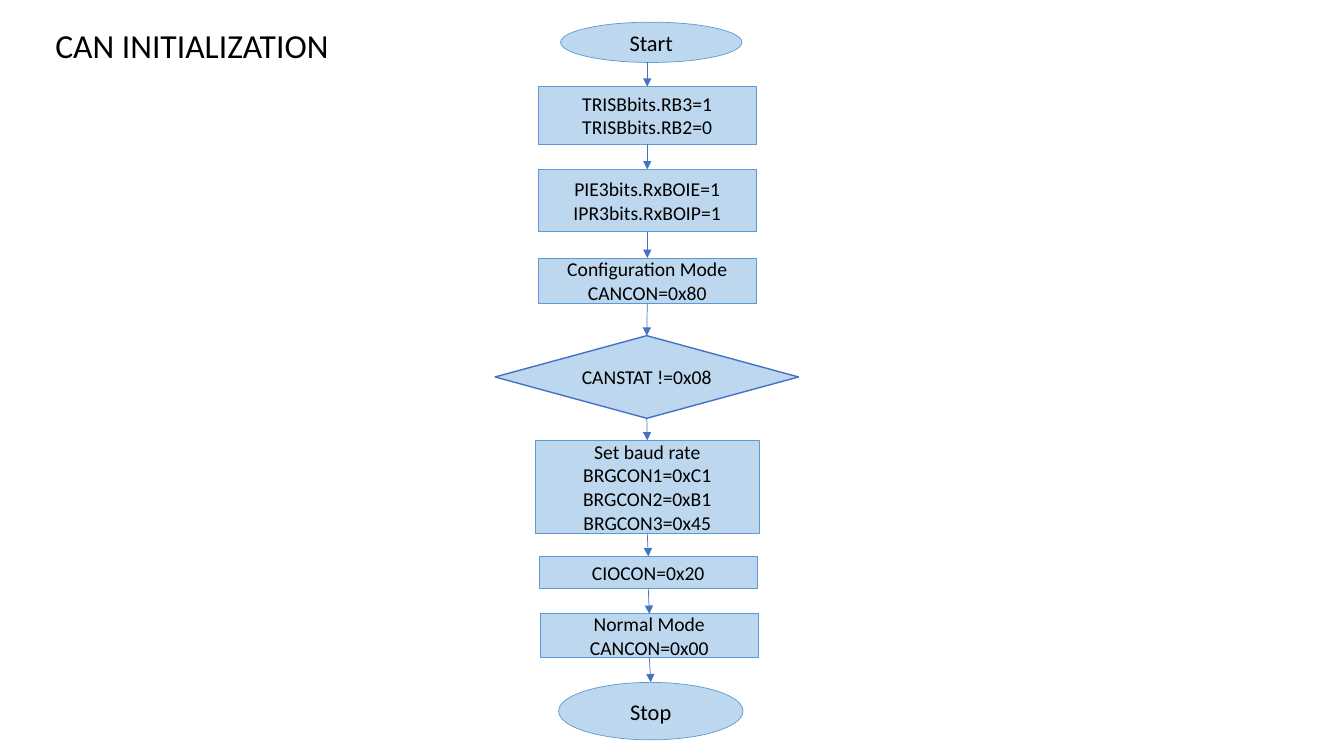
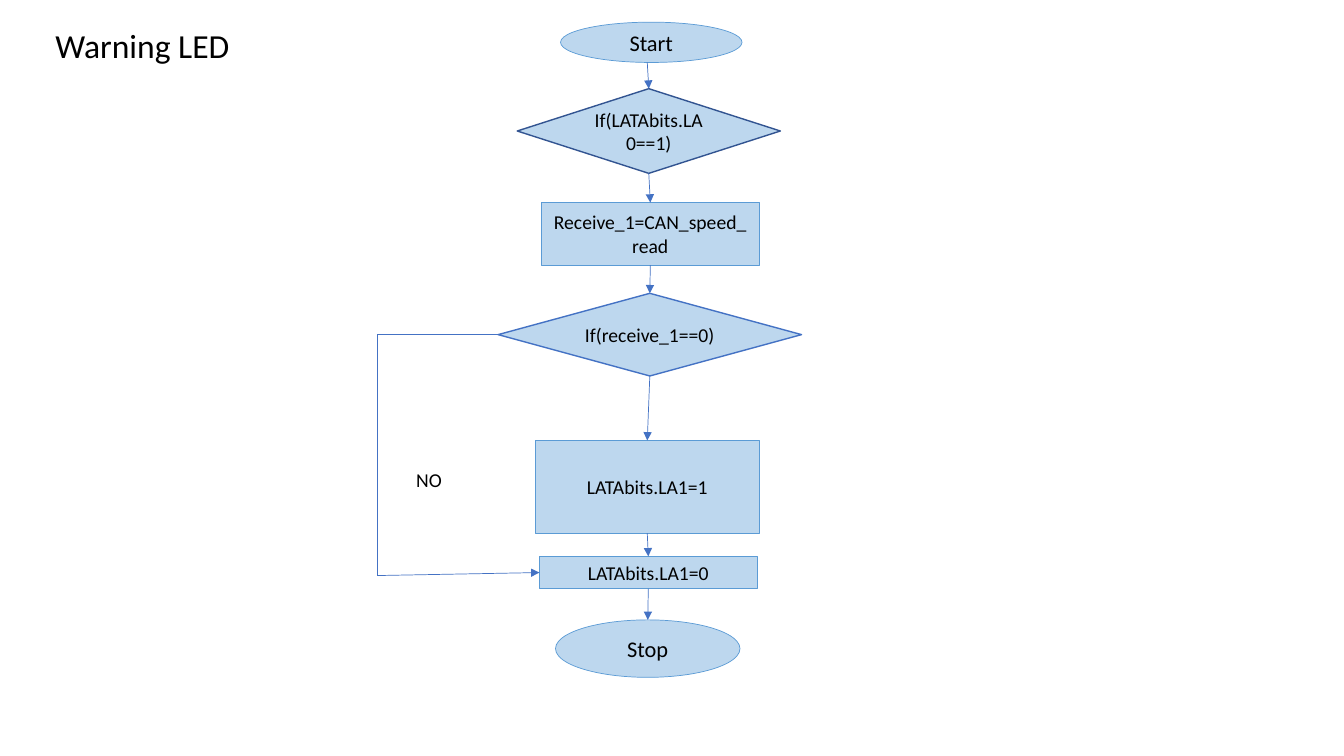
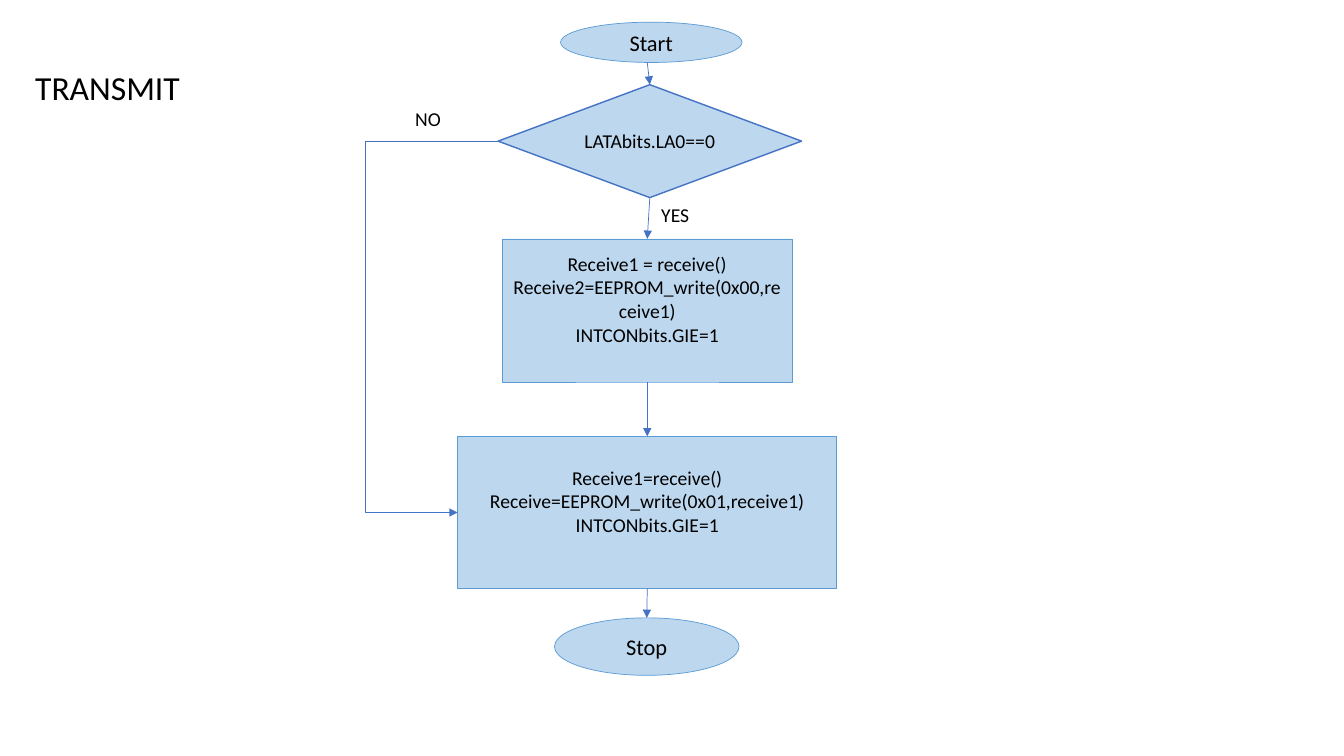
from dataclasses import dataclass

from lxml.etree import SubElement
from pptx import Presentation
from pptx.dml.color import RGBColor
from pptx.enum.shapes import MSO_CONNECTOR, MSO_SHAPE
from pptx.enum.text import MSO_ANCHOR, MSO_AUTO_SIZE, PP_ALIGN
from pptx.oxml.ns import qn
from pptx.util import Inches, Pt


@dataclass(frozen=True)
class Theme:
    font: str = "Calibri"
    ink: RGBColor = RGBColor(0x00, 0x00, 0x00)
    fill: RGBColor = RGBColor(0xBD, 0xD7, 0xEE)
    outline: RGBColor = RGBColor(0x5B, 0x9B, 0xD5)
    accent: RGBColor = RGBColor(0x44, 0x72, 0xC4)
    dark: RGBColor = RGBColor(0x32, 0x54, 0x91)
    thin: Pt = Pt(0.5)
    thick: Pt = Pt(1)
    title: Pt = Pt(24)
    terminal: Pt = Pt(16)
    body: Pt = Pt(14)


THEME = Theme()
TOP, LEFT, BOTTOM = 0, 1, 2
OVAL, BOX, DIAMOND = MSO_SHAPE.OVAL, MSO_SHAPE.RECTANGLE, MSO_SHAPE.DIAMOND
START = (OVAL, (5.56, 0.22, 1.8, 0.4), "Start")
START_ARROW_X = 6.42
RAISED_TEXT_INSET = 0.28

FLOWS = [
    {
        "title": ("CAN INITIALIZATION", 0.45, 0.2),
        "steps": [
            START,
            (BOX, (5.34, 0.86, 2.16, 0.57), "TRISBbits.RB3=1\nTRISBbits.RB2=0"),
            (BOX, (5.34, 1.68, 2.16, 0.62), "PIE3bits.RxBOIE=1\nIPR3bits.RxBOIP=1"),
            (BOX, (5.34, 2.56, 2.16, 0.45), "Configuration Mode\nCANCON=0x80"),
            (DIAMOND, (4.91, 3.33, 3.01, 0.82), "CANSTAT !=0x08"),
            (BOX, (5.31, 4.37, 2.22, 0.92),
             "Set baud rate\nBRGCON1=0xC1\nBRGCON2=0xB1\nBRGCON3=0x45"),
            (BOX, (5.35, 5.52, 2.16, 0.32), "CIOCON=0x20"),
            (BOX, (5.36, 6.09, 2.16, 0.43), "Normal Mode\nCANCON=0x00"),
            (OVAL, (5.54, 6.77, 1.83, 0.57), "Stop"),
        ],
        "labels": [],
    },
    {
        "title": ("Warning LED", 0.45, 0.2),
        "steps": [
            START,
            (DIAMOND, (5.13, 0.88, 2.61, 0.84), "If(LATAbits.LA0==1)"),
            (BOX, (5.37, 2.01, 2.16, 0.62), "Receive_1=CAN_speed_read"),
            (DIAMOND, (4.94, 2.91, 3.01, 0.82), "If(receive_1==0)"),
            (BOX, (5.31, 4.37, 2.22, 0.92), "LATAbits.LA1=1"),
            (BOX, (5.35, 5.52, 2.16, 0.32), "LATAbits.LA1=0"),
            (OVAL, (5.51, 6.15, 1.83, 0.57), "Stop"),
        ],
        "labels": [("NO", 4.03, 4.59)],
    },
    {
        "title": ("TRANSMIT", 0.25, 0.61),
        "steps": [
            START,
            (DIAMOND, (4.94, 0.84, 3.01, 1.12), "LATAbits.LA0==0"),
            (BOX, (4.98, 2.37, 2.88, 1.42),
             "Receive1 = receive()\nReceive2=EEPROM_write(0x00,receive1)\nINTCONbits.GIE=1"),
            (BOX, (4.54, 4.33, 3.76, 1.51),
             "Receive1=receive()\nReceive=EEPROM_write(0x01,receive1)\nINTCONbits.GIE=1"),
            (OVAL, (5.5, 6.13, 1.83, 0.57), "Stop"),
        ],
        "labels": [("NO", 4.02, 1.01), ("YES", 6.46, 1.96)],
    },
]


def write(frame, text, size, align):
    frame.word_wrap = True
    frame.text = text
    for paragraph in frame.paragraphs:
        paragraph.alignment = align
        paragraph.font.name = THEME.font
        paragraph.font.size = size
        paragraph.font.color.rgb = THEME.ink


def link(slide, start, end, source=None, target=None, arrow=True,
         kind=MSO_CONNECTOR.STRAIGHT):
    points = [Inches(value) for value in (*start, *end)]
    connector = slide.shapes.add_connector(kind, *points)
    connector.line.color.rgb = THEME.accent
    connector.line.width = THEME.thin
    if source:
        connector.begin_connect(*source)
    if target:
        connector.end_connect(*target)
    if arrow:
        SubElement(connector.line._get_or_add_ln(), qn("a:tailEnd"), type="triangle")
    SubElement(connector._element.spPr, qn("a:effectLst"))
    return connector


deck = Presentation()
deck.slide_width, deck.slide_height = Inches(13.33), Inches(7.5)
slides, charts = [], []

for flow in FLOWS:
    slide = deck.slides.add_slide(deck.slide_layouts[6])
    steps = []
    for kind, bounds, text in flow["steps"]:
        step = slide.shapes.add_shape(kind, *[Inches(value) for value in bounds])
        step.shadow.inherit = False
        step.fill.solid()
        step.fill.fore_color.rgb = THEME.fill
        step.line.color.rgb = THEME.accent if kind == DIAMOND else THEME.outline
        step.line.width = THEME.thick if kind == DIAMOND else THEME.thin
        step.text_frame.vertical_anchor = MSO_ANCHOR.MIDDLE
        size = THEME.terminal if kind == OVAL else THEME.body
        write(step.text_frame, text, size, PP_ALIGN.CENTER)
        steps.append(step)

    link(slide, (START_ARROW_X, 0.62), (START_ARROW_X, 0.86), target=(steps[1], TOP))
    for upper, lower in zip(steps[1:], steps[2:]):
        link(slide, (0, 0), (0, 0), (upper, BOTTOM), (lower, TOP))

    title, left, top = flow["title"]
    captions = [(title, left, top, 3.58, 0.5, THEME.title)]
    captions += [(*label, 0.6, 0.34, THEME.body) for label in flow["labels"]]
    for text, left, top, width, height, size in captions:
        caption = slide.shapes.add_textbox(
            Inches(left), Inches(top), Inches(width), Inches(height))
        write(caption.text_frame, text, size, PP_ALIGN.LEFT)
        caption.text_frame.auto_size = MSO_AUTO_SIZE.SHAPE_TO_FIT_TEXT

    slides.append(slide)
    charts.append(steps)

_, warning, transmit = slides
_, warning_steps, transmit_steps = charts

warning_steps[1].line.color.rgb = THEME.dark
speed_check, led_off = warning_steps[3], warning_steps[5]
link(warning, (4.94, 3.32), (3.74, 3.32), source=(speed_check, LEFT), arrow=False)
link(warning, (3.74, 3.32), (3.74, 5.71), arrow=False)
link(warning, (3.74, 5.71), (5.35, 5.68), target=(led_off, LEFT))

latch_check, first_write, second_write = transmit_steps[1:4]
for write_step in (first_write, second_write):
    write_step.text_frame.margin_bottom = Inches(RAISED_TEXT_INSET)
bypass = link(transmit, (4.94, 1.4), (4.54, 5.09), (latch_check, LEFT),
              (second_write, LEFT), kind=MSO_CONNECTOR.ELBOW)
bend = round((4.94 - 3.62) / (4.94 - 4.54) * 100000)
adjustments = bypass._element.spPr.find(qn("a:prstGeom")).get_or_add_avLst()
SubElement(adjustments, qn("a:gd"), name="adj1", fmla=f"val {bend}")

deck.save("out.pptx")
